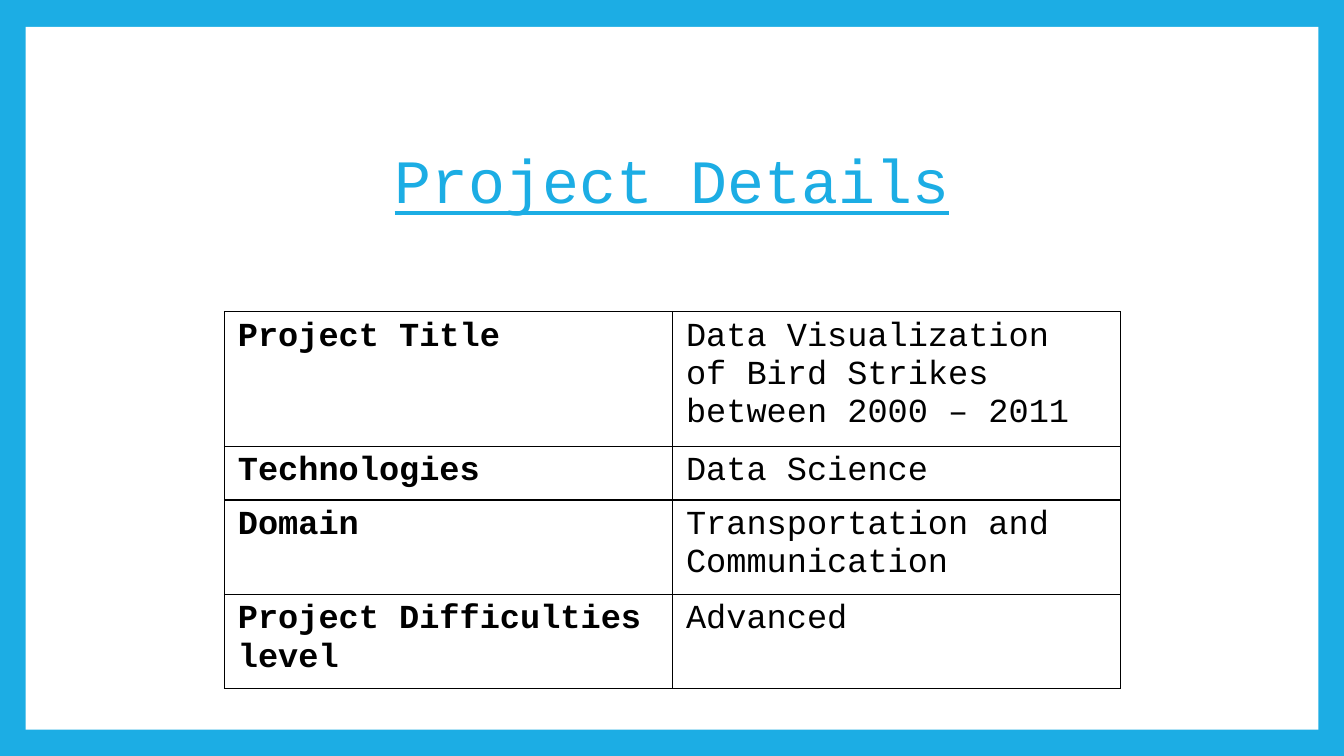
"""Build the project details slide: a framed page with a title and a table."""
from lxml.etree import fromstring
from pptx import Presentation
from pptx.dml.color import RGBColor
from pptx.enum.shapes import MSO_SHAPE
from pptx.enum.text import MSO_ANCHOR, PP_ALIGN
from pptx.oxml.ns import nsdecls
from pptx.util import Inches, Pt

COLORS = {"accent": "1CADE4", "page": "FFFFFF", "ink": "000000"}
FONT = "Courier New"
DETAILS = [
    ("Project Title", "Data Visualization of Bird Strikes between 2000 – 2011", 0.95),
    ("Technologies", "Data Science", 0.4),
    ("Domain", "Transportation and Communication", 0.67),
    ("Project Difficulties level", "Advanced", 0.67),
]


def style_font(font, size, color):
    font.name = FONT
    font.size = Pt(size)
    font.color.rgb = RGBColor.from_string(COLORS[color])


def add_borders(cell):
    properties = cell._tc.get_or_add_tcPr()
    for position, side in enumerate(("lnL", "lnR", "lnT", "lnB")):
        border = fromstring(
            f'<a:{side} {nsdecls("a")} w="{Pt(0.75)}"><a:solidFill>'
            f'<a:srgbClr val="{COLORS["ink"]}"/></a:solidFill></a:{side}>'
        )
        properties.insert(position, border)


presentation = Presentation()
presentation.slide_width = Inches(10)
presentation.slide_height = Inches(10 * 9 / 16)
slide = presentation.slides.add_slide(presentation.slide_layouts[6])
slide.background.fill.solid()
slide.background.fill.fore_color.rgb = RGBColor.from_string(COLORS["accent"])

page = slide.shapes.add_shape(
    MSO_SHAPE.RECTANGLE, Inches(0.19), Inches(0.2), Inches(9.62), Inches(5.23)
)
page.shadow.inherit = False
page.fill.solid()
page.fill.fore_color.rgb = RGBColor.from_string(COLORS["page"])
page.line.fill.background()

title = slide.shapes.add_textbox(
    Inches(2.23), Inches(1.02), Inches(5.54), Inches(1.11)
).text_frame
title.word_wrap = True
title.vertical_anchor = MSO_ANCHOR.TOP
title.margin_top = Inches(0.1)
heading = title.paragraphs[0]
heading.text = "Project Details"
heading.alignment = PP_ALIGN.CENTER
heading.line_spacing = 0.9
style_font(heading.font, 33, "accent")
heading.font.underline = True

details = slide.shapes.add_table(
    len(DETAILS), 2, Inches(1.67), Inches(2.32), Inches(6.67), Inches(2.69)
).table
details.first_row = False
details.horz_banding = False
for row, (label, value, height) in zip(details.rows, DETAILS):
    row.height = Inches(height)
    for cell, wording in zip(row.cells, (label, value)):
        cell.text = wording
        cell.fill.background()
        add_borders(cell)
        paragraph = cell.text_frame.paragraphs[0]
        style_font(paragraph.font, 18, "ink")
        paragraph.font.bold = wording == label

presentation.save("out.pptx")
